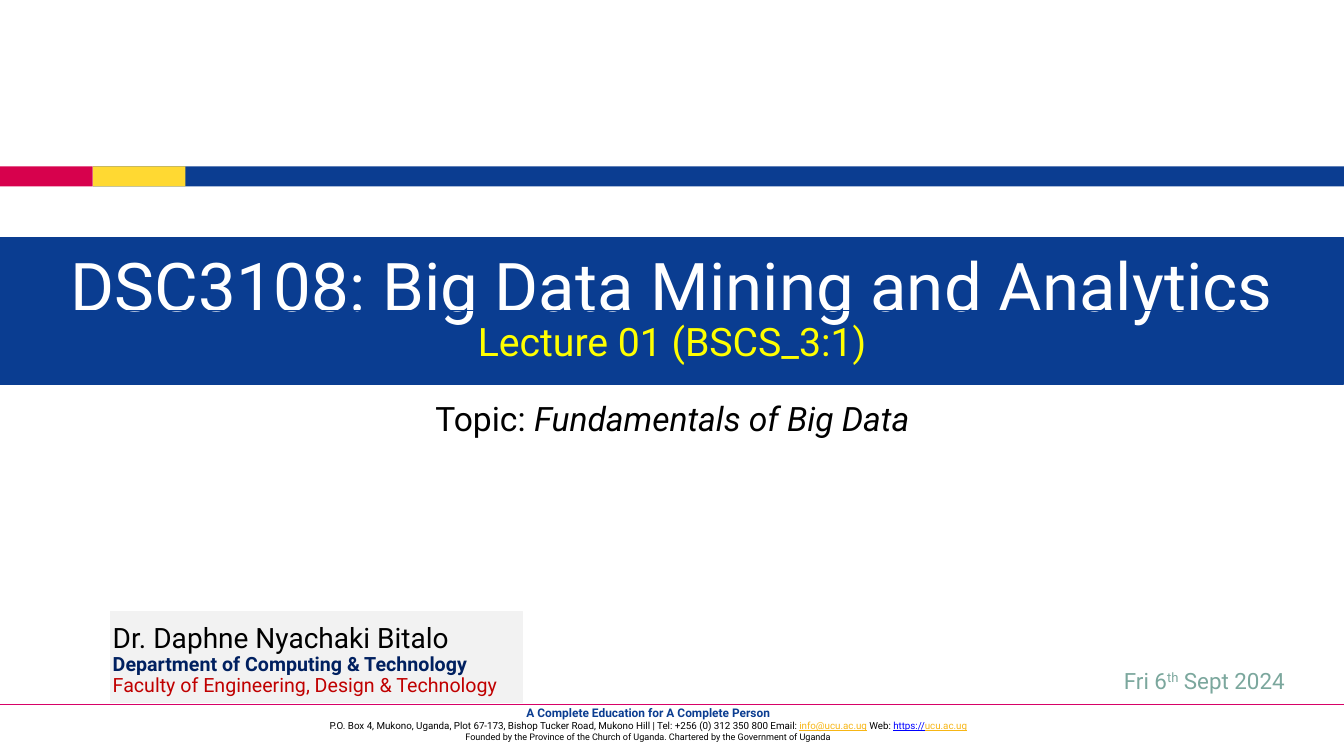
"""Builds the opening slide of a lecture on big data mining and analytics."""
from lxml.etree import SubElement
from pptx import Presentation
from pptx.dml.color import RGBColor
from pptx.enum.shapes import MSO_CONNECTOR, MSO_SHAPE
from pptx.enum.text import MSO_ANCHOR, PP_ALIGN
from pptx.oxml.ns import qn
from pptx.util import Inches, Pt

WIDTH, HEIGHT = 13.33, 7.5
FONT = "Roboto"
BLUE, NAVY, RED, YELLOW = "0B3D91", "0A3D91", "D7014D", "FFD932"
GOLD, LINK, BLACK, PALE = "F7B615", "0000FF", "000000", "F2F2F2"

STRIPE_TOP, STRIPE_HEIGHT, STRIPE_STEP = 1.65, 0.2, 0.92
STRIPES = [
    (STRIPE_STEP, WIDTH - STRIPE_STEP, BLUE),
    (0, STRIPE_STEP, RED),
    (STRIPE_STEP, STRIPE_STEP, YELLOW),
]
RULE_TOP = 6.99

FOOTER = [
    dict(size=7, color=BLACK, spans=[
        ("A Complete Education for A Complete Person", dict(size=8.5, color=BLUE, bold=True)),
        "\n",
        "P.O. Box 4, Mukono, Uganda, Plot 67-173, Bishop Tucker Road, Mukono Hill"
        " | Tel: +256 (0) 312 350 800 Email: ",
        ("info@ucu.ac.ug", dict(color=GOLD, underline=True)),
        " Web: ",
        ("https://", dict(color=LINK, underline=True)),
        ("ucu.ac.ug", dict(color=GOLD, underline=True)),
    ]),
    dict(size=6.5, color=BLACK, spans=[
        "Founded by the Province of the Church of Uganda. Chartered by the Government of Uganda"]),
]
TOPIC = [dict(size=24, color=BLACK, spans=["Topic: ", ("Fundamentals of Big Data", dict(italic=True))])]
LECTURER = [
    dict(size=20, color=BLACK, spans=["Dr. Daphne Nyachaki Bitalo"]),
    dict(size=14, color="002060", bold=True, spans=["Department of Computing & Technology"]),
    dict(size=14, color="C00000", spans=["Faculty of Engineering, Design & Technology"]),
]
TITLE = [dict(size=48, color="FFFFFF", spans=["DSC3108: Big Data Mining and Analytics"])]
LECTURE = [dict(size=28, color="FFFF00", spans=["Lecture 01 (BSCS_3:1)"])]
DATE = [dict(size=16, color="7BA79D", spans=["Fri 6", ("th", dict(baseline=30000)), " Sept 2024"])]


def rgb(code):
    return RGBColor.from_string(code)


def style(font, size=None, color=None, **flags):
    if size:
        font.size = Pt(size)
    if color:
        font.color.rgb = rgb(color)
    for name, value in flags.items():
        setattr(font, name, value)


def write(shape, paragraphs, align=PP_ALIGN.CENTER, anchor=MSO_ANCHOR.MIDDLE, spacing=0.9):
    frame = shape.text_frame
    frame.word_wrap = True
    frame.vertical_anchor = anchor
    for index, entry in enumerate(paragraphs):
        para = frame.add_paragraph() if index else frame.paragraphs[0]
        para.alignment = align
        para.line_spacing = spacing
        look = {key: value for key, value in entry.items() if key != "spans"}
        style(para.font, name=FONT, **look)
        for item in entry["spans"]:
            if item == "\n":
                para.add_line_break()
                continue
            text, changes = (item, {}) if isinstance(item, str) else item
            span = para.add_run()
            span.text = text
            changes = dict(changes)
            baseline = changes.pop("baseline", None)
            style(span.font, **changes)
            if baseline:
                span.font._element.set("baseline", str(baseline))


def add_box(page, left, top, width, height):
    return page.shapes.add_textbox(Inches(left), Inches(top), Inches(width), Inches(height))


def add_bar(page, left, top, width, height, fill=None, line=None):
    bar = page.shapes.add_shape(
        MSO_SHAPE.RECTANGLE, Inches(left), Inches(top), Inches(width), Inches(height))
    bar.shadow.inherit = False
    if fill:
        bar.fill.solid()
        bar.fill.fore_color.rgb = rgb(fill)
    else:
        bar.fill.background()
    if line:
        bar.line.color.rgb = rgb(line)
        bar.line.width = Pt(0.75)
    else:
        bar.line.fill.background()
    return bar


def add_rule(page, top, color):
    rule = page.shapes.add_connector(
        MSO_CONNECTOR.STRAIGHT, 0, Inches(top), Inches(WIDTH), Inches(top))
    rule.line.color.rgb = rgb(color)
    rule.line.width = Pt(1)
    SubElement(rule._element.spPr, qn("a:effectLst"))


def main():
    deck = Presentation()
    deck.slide_width, deck.slide_height = Inches(WIDTH), Inches(HEIGHT)
    page = deck.slides.add_slide(deck.slide_layouts[6])

    for left, width, color in STRIPES:
        add_bar(page, left, STRIPE_TOP, width, STRIPE_HEIGHT, color)
    write(add_box(page, 2.32, 6.95, 8.22, 0.47), FOOTER, anchor=MSO_ANCHOR.TOP, spacing=1.0)
    add_rule(page, RULE_TOP, "D70167")

    write(add_box(page, 1.67, 3.94, 10, 1.81), TOPIC, anchor=MSO_ANCHOR.TOP)
    add_bar(page, 1.1, 6.07, 4.08, 0.9, PALE, PALE)
    write(add_box(page, 1.02, 6.1, 4.16, 0.91), LECTURER, align=PP_ALIGN.LEFT)

    add_bar(page, 0, 2.36, WIDTH, 1.45, NAVY, NAVY)
    write(add_bar(page, 0, 2.39, WIDTH, 0.97, line=NAVY), TITLE)
    write(add_bar(page, 0, 3.08, WIDTH, 0.67, line=NAVY), LECTURE)
    write(add_box(page, 10.56, 6.53, 2.77, 0.48), DATE)
    deck.save("out.pptx")


if __name__ == "__main__":
    main()
